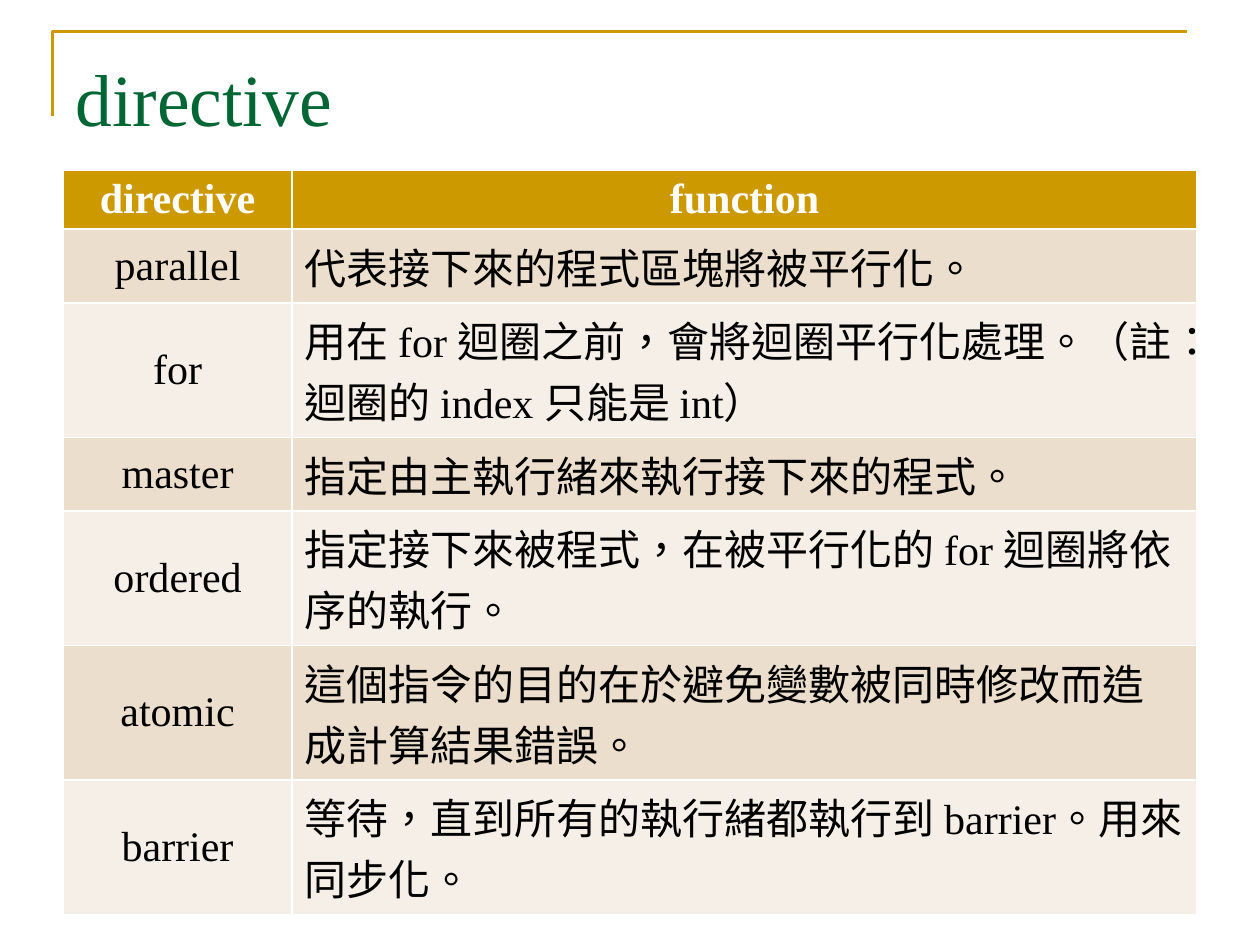
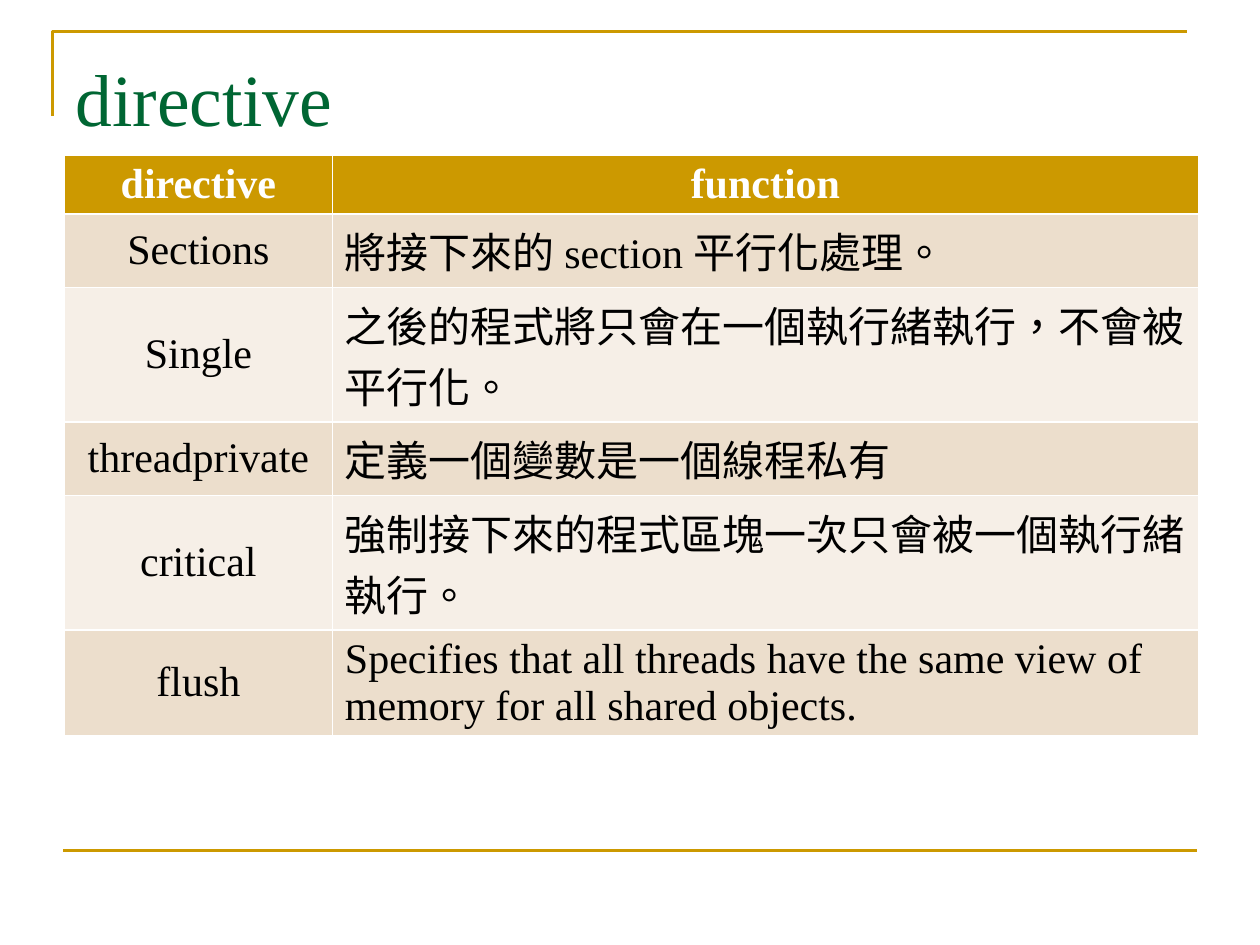
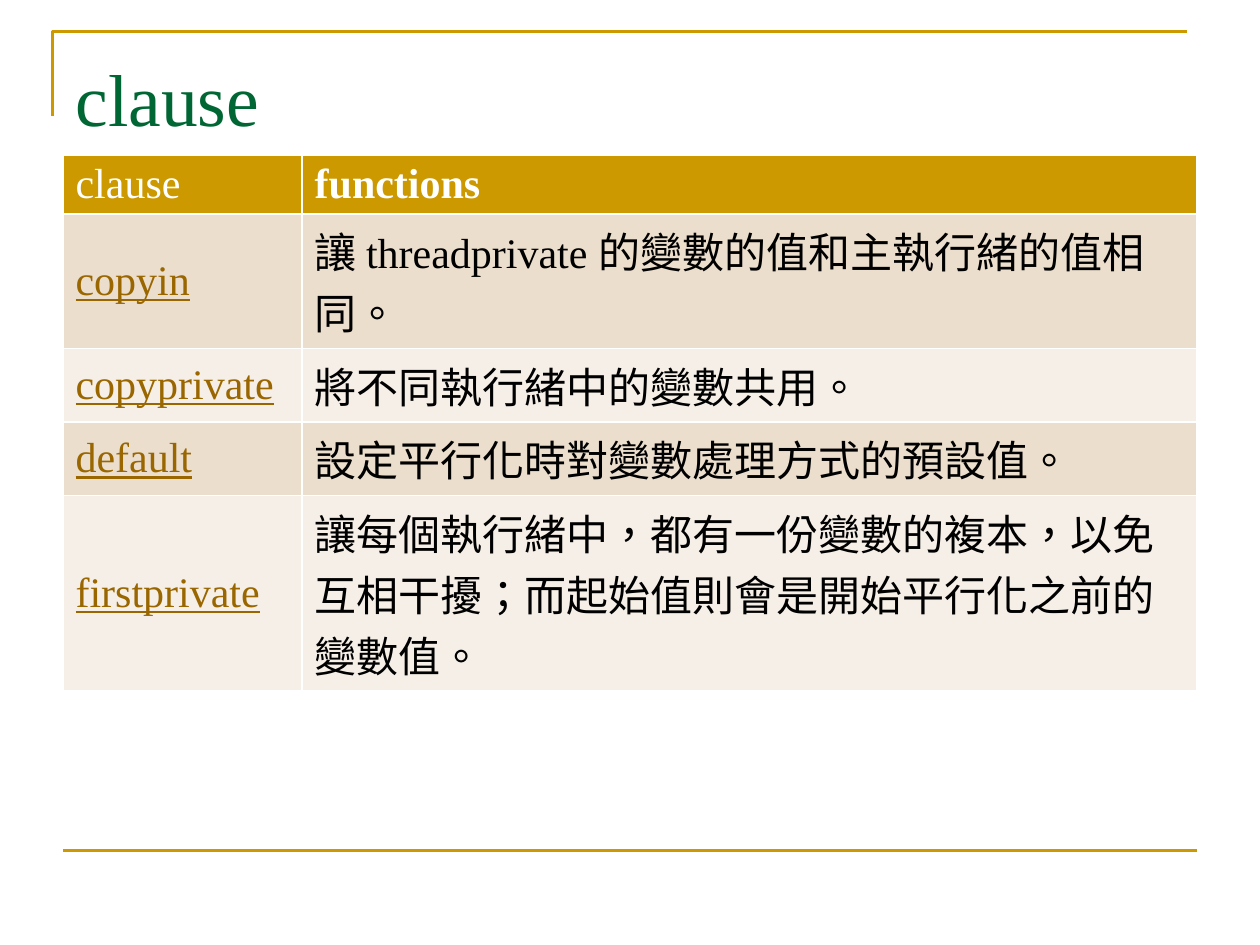
from lxml import etree
from pptx import Presentation
from pptx.dml.color import RGBColor
from pptx.enum.lang import MSO_LANGUAGE_ID
from pptx.enum.shapes import MSO_CONNECTOR
from pptx.enum.text import MSO_ANCHOR, PP_ALIGN
from pptx.oxml.ns import qn
from pptx.util import Cm, Pt

LEFT, CENTER = PP_ALIGN.LEFT, PP_ALIGN.CENTER
TOP, MIDDLE = MSO_ANCHOR.TOP, MSO_ANCHOR.MIDDLE
STRAIGHT = MSO_CONNECTOR.STRAIGHT
CHINESE = MSO_LANGUAGE_ID.TRADITIONAL_CHINESE

FONT = "Times New Roman"
GOLD, GREEN, BROWN = "CC9900", "006633", "996600"
BLACK, WHITE = "000000", "FFFFFF"
BAND_FILLS = ("ECDECC", "F6EFE7")
TITLE_ONLY = 5
ROW_HEIGHT = Cm(1.04)  # rows grow to fit their text

# Table places and column widths are in centimetres.
SLIDES = [
    {
        "title": "directive",
        "place": (1.27, 3.43), "height": 12.95, "columns": (4.62, 18.24),
        "header": ("directive", "function"),
        "rows": [
            ("parallel", "代表接下來的程式區塊將被平行化。"),
            ("for", "用在 for 迴圈之前，會將迴圈平行化處理。（註：迴圈的 index 只能是 int）"),
            ("master", "指定由主執行緒來執行接下來的程式。"),
            ("ordered", "指定接下來被程式，在被平行化的 for 迴圈將依序的執行。"),
            ("atomic", "這個指令的目的在於避免變數被同時修改而造成計算結果錯誤。"),
            ("barrier", "等待，直到所有的執行緒都執行到 barrier。用來同步化。"),
        ],
    },
    {
        "title": "directive",
        "place": (1.3, 3.12), "height": 10.67, "columns": (5.4, 17.46),
        "header": ("directive", "function"),
        "rows": [
            ("Sections", "將接下來的 section 平行化處理。"),
            ("Single", "之後的程式將只會在一個執行緒執行，不會被平行化。"),
            ("threadprivate", "定義一個變數是一個線程私有"),
            ("critical", "強制接下來的程式區塊一次只會被一個執行緒執行。"),
            ("flush", "Specifies that all threads have the same view of memory "
                      "for all shared objects."),
        ],
    },
    {
        "title": "clause",
        "place": (1.27, 3.12), "height": 9.4, "columns": (4.82, 18.04),
        "header": ("clause", "functions"),
        "rows": [
            ("copyin", "讓 threadprivate 的變數的值和主執行緒的值相同。"),
            ("copyprivate", "將不同執行緒中的變數共用。"),
            ("default", "設定平行化時對變數處理方式的預設值。"),
            ("firstprivate", "讓每個執行緒中，都有一份變數的複本，以免互相干擾；"
                             "而起始值則會是開始平行化之前的變數值。"),
        ],
    },
]


def rgb(color):
    return RGBColor.from_string(color)


def write(frame, text, size, color, align=LEFT, bold=False, underline=False):
    paragraph = frame.paragraphs[0]
    paragraph.alignment = align
    run = paragraph.add_run()
    run.text = text
    run.font.language_id = CHINESE
    font = paragraph.font
    font.name, font.size = FONT, Pt(size)
    font.bold, font.underline = bold, underline
    font.color.rgb = rgb(color)


def style_rule(rule):
    rule.line.color.rgb = rgb(GOLD)
    rule.line.width = Pt(1.5)


def add_frame(slide):
    """Draw the corner bracket and the rule at the foot."""
    corner = slide.shapes.build_freeform(Cm(1.06), Cm(2.34))
    corner.add_line_segments(
        [(Cm(1.06), Cm(0.64)), (Cm(23.92), Cm(0.64))], close=False)
    bracket = corner.convert_to_shape()
    bracket.fill.background()
    bracket.shadow.inherit = False
    style_rule(bracket)

    foot = slide.shapes.add_connector(
        STRAIGHT, Cm(1.27), Cm(17.15), Cm(24.13), Cm(17.15))
    style_rule(foot)
    etree.SubElement(foot.element.spPr, qn("a:effectLst"))


def add_title(slide, text):
    title = slide.shapes.title
    title.left, title.top = Cm(1.27), Cm(0.76)
    title.width, title.height = Cm(22.86), Cm(3.18)
    frame = title.text_frame
    frame.vertical_anchor = TOP
    frame.margin_top = Cm(0.3)
    write(frame, text, 42, GREEN)


def cell_style(content, row, column):
    """Return the text format of a cell; clause names look like links."""
    is_clause = content["title"] == "clause"
    if row == 0:
        return {"color": WHITE, "align": LEFT if is_clause else CENTER,
                "bold": not is_clause or column == 1}
    if column == 1:
        return {"color": BLACK}
    if is_clause:
        return {"color": BROWN, "underline": True}
    return {"color": BLACK, "align": CENTER}


def add_reference_table(slide, content):
    rows = [content["header"], *content["rows"]]
    left, top = map(Cm, content["place"])
    holder = slide.shapes.add_table(
        len(rows), 2, left, top, Cm(sum(content["columns"])), ROW_HEIGHT)
    table = holder.table
    for column, width in zip(table.columns, content["columns"]):
        column.width = Cm(width)
    for r, texts in enumerate(rows):
        table.rows[r].height = ROW_HEIGHT
        for c, text in enumerate(texts):
            cell = table.cell(r, c)
            cell.fill.solid()
            cell.fill.fore_color.rgb = rgb(BAND_FILLS[(r - 1) % 2] if r else GOLD)
            cell.vertical_anchor = MIDDLE if r else TOP
            write(cell.text_frame, text, 24, **cell_style(content, r, c))
    holder.height = Cm(content["height"])


def main():
    prs = Presentation()
    prs.slide_width, prs.slide_height = Cm(25.4), Cm(19.05)
    for content in SLIDES:
        slide = prs.slides.add_slide(prs.slide_layouts[TITLE_ONLY])
        add_frame(slide)
        add_title(slide, content["title"])
        add_reference_table(slide, content)
    prs.save("out.pptx")


if __name__ == "__main__":
    main()
